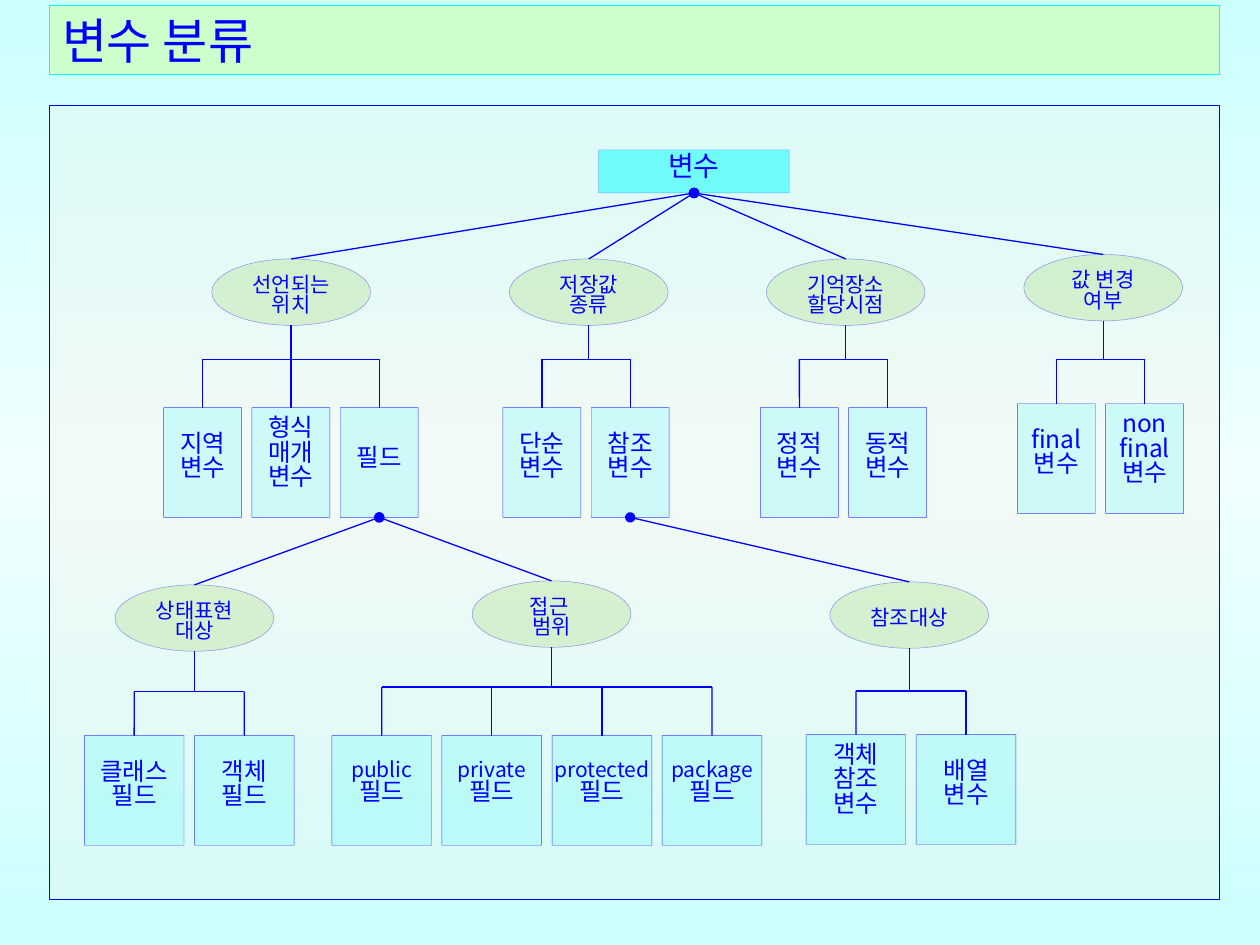
from copy import deepcopy
from typing import NamedTuple

from pptx import Presentation
from pptx.dml.color import RGBColor
from pptx.enum.shapes import MSO_CONNECTOR as Link, MSO_SHAPE as Preset
from pptx.enum.text import MSO_ANCHOR as Anchor, PP_ALIGN as Align
from pptx.oxml.ns import qn
from pptx.oxml.xmlchemy import OxmlElement
from pptx.util import Cm, Pt

BLUE = RGBColor(0x00, 0x00, 0xFF)
CYAN = RGBColor(0x00, 0xFF, 0xFF)
PALE_CYAN = RGBColor(0xCC, 0xFF, 0xFF)
ICE = RGBColor(0xF0, 0xFF, 0xFF)
MINT = RGBColor(0xCC, 0xFF, 0xCC)
GREEN = RGBColor(0x92, 0xD0, 0x50)
PEACH = RGBColor(0xFD, 0xEA, 0xDA)

FONT = "Noto Sans CJK KR"
TOP, BOTTOM = 0, 2
HUB_WIDTH, HUB_HEIGHT = 3.2, 1.34
LEAF_HEIGHT = 2.21
LEAF_GAP = 0.21
INSET_BY_ROWS = {1: 0.79, 2: 0.51, 3: 0.2}


class Leaf(NamedTuple):
    text: str
    rows: int = 2


class Branch(NamedTuple):
    hub_text: str
    hub_left: float
    hub_top: float
    bar_top: float
    leaf_left: float
    leaf_top: float
    leaves: list
    leaf_width: float = 1.57
    side_inset: float = 0.25
    first_size: int = 14


UPPER = [
    Branch("선언되는 위치", 4.27, 5.22, 7.24, 3.3, 8.22,
           [Leaf("지역\n변수"), Leaf("형식\n매개\n변수", 3), Leaf("필드", 1)]),
    Branch("저장값\n종류", 10.27, 5.22, 7.24, 10.14, 8.22,
           [Leaf("단순변수"), Leaf("참조변수")]),
    Branch("기억장소\n할당시점", 15.45, 5.22, 7.24, 15.33, 8.22,
           [Leaf("정적변수"), Leaf("동적변수")]),
    Branch("값 변경\n여부", 20.64, 5.13, 7.24, 20.51, 8.14,
           [Leaf("final변수"), Leaf("non\nfinal변수", 3)]),
]
STATE = Branch("상태표현대상", 2.32, 11.79, 13.94, 1.7, 14.83,
               [Leaf("클래스필드"), Leaf("객체\n필드")], 2.01)
ACCESS = Branch("접근 \n범위", 9.52, 11.71, 13.85, 6.69, 14.83,
                [Leaf(f"{word}\n필드") for word in
                 ("public", "private", "protected", "package")], 2.01, 0, 12)
REFERENCE = Branch("참조대상", 16.73, 11.73, 13.93, 16.25, 14.81,
                   [Leaf("객체\n참조\n변수", 3), Leaf("배열\n변수")], 2.01)


def apply_format(target, values):
    for name, value in values.items():
        setattr(target, name, value)


def set_alpha(color_parent, percent):
    alpha = OxmlElement("a:alpha")
    alpha.set("val", str(percent * 1000))
    color_parent.find(".//" + qn("a:srgbClr")).append(alpha)


def paint(shape, fill, fill_alpha=100, line=BLUE, line_alpha=100):
    shape.fill.solid()
    shape.fill.fore_color.rgb = fill
    shape.line.color.rgb = line
    shape.line.width = Pt(0.25)
    properties = shape._element.spPr
    if fill_alpha < 100:
        set_alpha(properties.find(qn("a:solidFill")), fill_alpha)
    if line_alpha < 100:
        set_alpha(properties.find(qn("a:ln")), line_alpha)


def add_box(page, preset, place, **colors):
    box = page.shapes.add_shape(preset, *map(Cm, place))
    box.shadow.inherit = False
    if preset == Preset.ROUNDED_RECTANGLE:
        box.adjustments[0] = 0
    paint(box, **colors)
    return box


def write(box, text, sizes, insets, anchor=Anchor.TOP):
    frame = box.text_frame
    sides = ("margin_left", "margin_top", "margin_right", "margin_bottom")
    apply_format(frame, dict(zip(sides, map(Cm, insets))))
    apply_format(frame, {"word_wrap": True, "vertical_anchor": anchor})
    for index, line in enumerate(text.split("\n")):
        para = frame.paragraphs[0] if index == 0 else frame.add_paragraph()
        apply_format(para, {"alignment": Align.CENTER, "line_spacing": 0.82})
        span = para.add_run()
        span.text = line
        size = sizes[min(index, len(sizes) - 1)]
        apply_format(span.font, {"size": Pt(size), "name": FONT})
        span.font.color.rgb = BLUE


def add_line(page, start, end, begin_box=None, end_box=None, dot=False):
    line = page.shapes.add_connector(Link.STRAIGHT, *map(Cm, start + end))
    line.line.color.rgb = BLUE
    line.line.width = Pt(0.75)
    if dot:
        head = OxmlElement("a:headEnd")
        head.set("type", "oval")
        line.line._get_or_add_ln().append(head)
    line._element.spPr.append(OxmlElement("a:effectLst"))
    if begin_box is not None:
        line.begin_connect(begin_box, BOTTOM)
    if end_box is not None:
        line.end_connect(end_box, TOP)


def add_leaf(page, branch, leaf, left):
    place = (left, branch.leaf_top, branch.leaf_width, LEAF_HEIGHT)
    box = add_box(page, Preset.ROUNDED_RECTANGLE, place,
                  fill=CYAN, fill_alpha=15, line_alpha=75)
    insets = (branch.side_inset, INSET_BY_ROWS[leaf.rows], branch.side_inset, 0.13)
    write(box, leaf.text, (branch.first_size, 14), insets)
    return box


def add_branch(page, branch, parent):
    hub = add_box(page, Preset.OVAL,
                  (branch.hub_left, branch.hub_top, HUB_WIDTH, HUB_HEIGHT),
                  fill=GREEN, fill_alpha=23, line_alpha=43)
    write(hub, branch.hub_text, (12,), (0.25, 0.3, 0.25, 0.13), Anchor.MIDDLE)
    middle = branch.hub_left + HUB_WIDTH / 2
    add_line(page, (0, 0), (middle, branch.hub_top), begin_box=parent, dot=True)
    add_line(page, (middle, branch.hub_top + HUB_HEIGHT), (middle, branch.bar_top))

    boxes, centers = [], []
    for index, leaf in enumerate(branch.leaves):
        left = branch.leaf_left + index * (branch.leaf_width + LEAF_GAP)
        box = add_leaf(page, branch, leaf, left)
        center = left + branch.leaf_width / 2
        add_line(page, (center, branch.bar_top), (center, branch.leaf_top), end_box=box)
        boxes.append(box)
        centers.append(center)
    add_line(page, (centers[0], branch.bar_top), (centers[-1], branch.bar_top))
    return boxes


def paint_background(page):
    fill = page.background.fill
    fill.gradient()
    fill.gradient_angle = 90
    stops = page._element.find(".//" + qn("a:gsLst"))
    stops.append(deepcopy(stops[0]))
    for stop, color, position in zip(fill.gradient_stops, (PALE_CYAN, ICE, PALE_CYAN), (0, 0.5, 1)):
        stop.color.rgb = color
        stop.position = position


def add_title(page, text):
    title = page.shapes.title
    places = zip(("left", "top", "width", "height"), map(Cm, (1, 0.11, 23.57, 1.39)))
    apply_format(title, dict(places))
    paint(title, MINT, line=CYAN)
    write(title, text, (28,), (0.25, 0.13, 0.25, 0.13), Anchor.MIDDLE)
    apply_format(title.text_frame.paragraphs[0], {"alignment": Align.LEFT, "line_spacing": 1.0})


def main():
    deck = Presentation()
    apply_format(deck, {"slide_width": Cm(25.4), "slide_height": Cm(19.05)})
    page = deck.slides.add_slide(deck.slide_layouts[5])
    paint_background(page)
    add_title(page, "변수 분류")
    add_box(page, Preset.RECTANGLE, (1, 2.13, 23.57, 16), fill=PEACH, fill_alpha=20)

    root = add_box(page, Preset.ROUNDED_RECTANGLE, (12.07, 3.02, 3.84, 0.87),
                   fill=CYAN, fill_alpha=50, line_alpha=30)
    write(root, "변수", (16,), (0, 0.1, 0, 0))

    position, storage, *_ = [add_branch(page, branch, root) for branch in UPPER]
    field, reference = position[-1], storage[-1]
    for branch, parent in ((STATE, field), (ACCESS, field), (REFERENCE, reference)):
        add_branch(page, branch, parent)
    deck.save("out.pptx")


if __name__ == "__main__":
    main()
